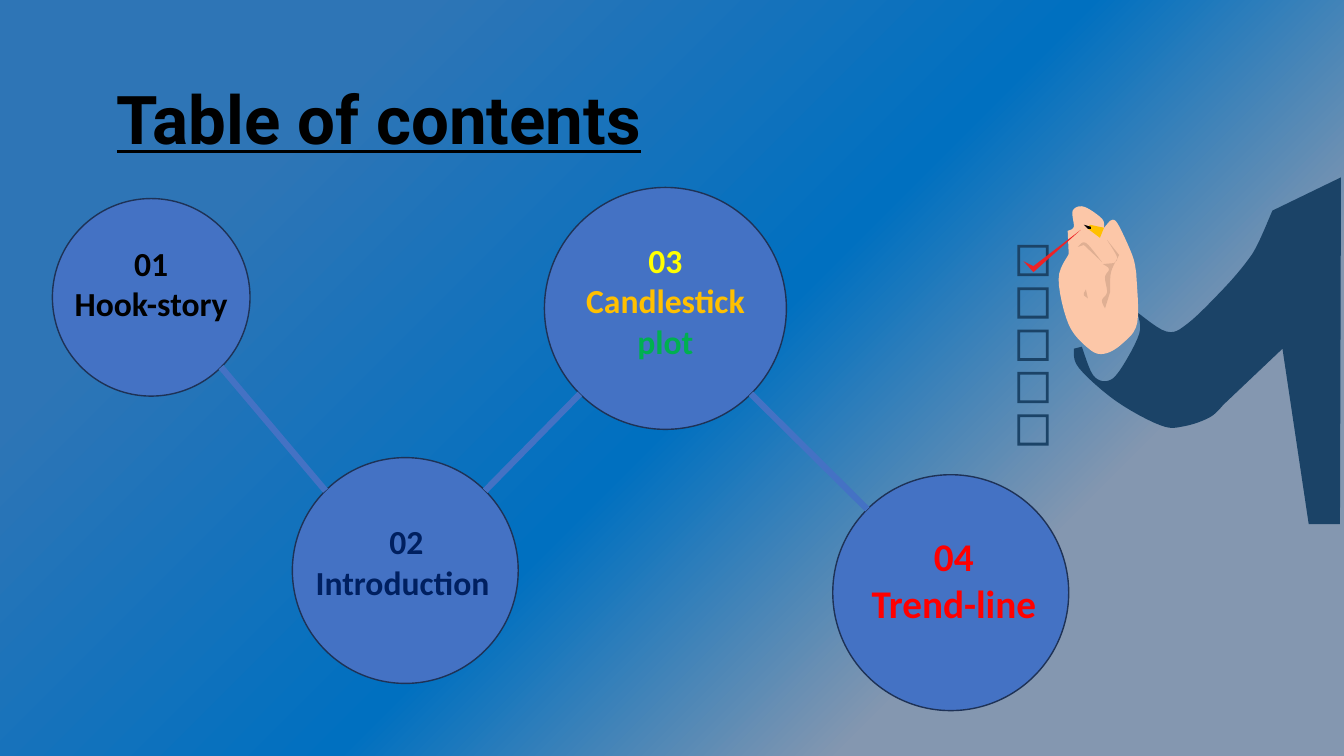
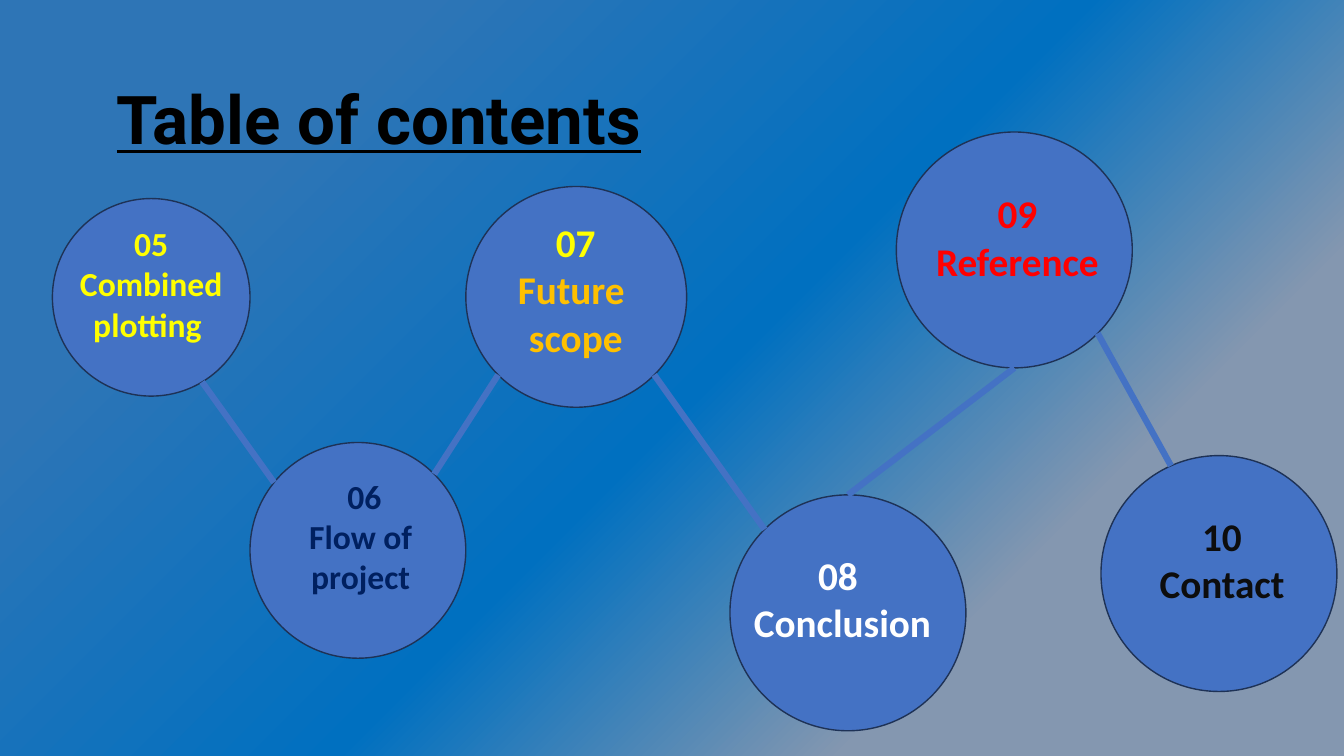
from copy import deepcopy
from itertools import pairwise
from math import cos, radians, sin

from lxml import etree
from pptx import Presentation
from pptx.dml.color import RGBColor
from pptx.enum.shapes import MSO_CONNECTOR, MSO_SHAPE
from pptx.enum.text import MSO_ANCHOR, MSO_AUTO_SIZE, PP_ALIGN
from pptx.oxml.ns import qn
from pptx.util import Inches, Pt

STRAIGHT = MSO_CONNECTOR.STRAIGHT
ELLIPSE, FRAME = MSO_SHAPE.OVAL, MSO_SHAPE.FRAME
TOP, MIDDLE = MSO_ANCHOR.TOP, MSO_ANCHOR.MIDDLE
LEFT, CENTER = PP_ALIGN.LEFT, PP_ALIGN.CENTER
NO_FIT = MSO_AUTO_SIZE.NONE

COLORS = {
    "steel": "2E75B6", "blue": "0070C0", "slate": "8497B0",
    "circle": "4472C4", "outline": "1E3256",
    "black": "000000", "ink": "0D0D0D", "white": "FFFFFF", "navy": "002060",
    "yellow": "FFFF00", "amber": "FFC000", "green": "00B050", "red": "FF0000",
    "sleeve": "1B4367", "skin": "FCC7A8", "crease": "DFAF93",
    "tick": "ED2225", "tip": "030201",
}
COLORS = {name: RGBColor.from_string(value) for name, value in COLORS.items()}
BACKGROUND = [(0.20, "steel"), (0.52, "blue"), (0.76, "slate")]

TITLE = "Table of contents"
TITLE_FRAME = (1.06, 0.81, 11.22, 1.04)
LABEL_HEIGHT = 1.04

# Angles run clockwise from the right-hand side of a circle.
LOWER_RIGHT, BOTTOM, LOWER_LEFT, UPPER_LEFT, TOP_POINT, UPPER_RIGHT = 45, 90, 135, 225, 270, 315

# Each topic: circle (left, top, diameter), label (left, top, width), text size, lines.
# Each link: the angle where it leaves one circle and the angle where it meets the next.
PAGES = [
    {
        "topics": [
            ((0.52, 1.97, 1.96), (0.56, 2.29, 1.88), 24, [("01", "black"), ("Hook-story", "black")]),
            ((2.9, 4.54, 2.24), (2.93, 5.05, 2.2), 24, [("02", "navy"), ("Introduction ", "navy")]),
            ((5.4, 1.86, 2.4), (5.66, 2.46, 1.88), 24,
             [("03", "yellow"), ("Candlestick", "amber"), ("plot", "green")]),
            ((8.26, 4.71, 2.34), (8.52, 5.23, 1.88), 28, [("04", "red"), ("Trend-line", "red")]),
        ],
        "links": [(LOWER_RIGHT, UPPER_LEFT), (UPPER_RIGHT, LOWER_LEFT), (LOWER_RIGHT, UPPER_LEFT)],
    },
    {
        "topics": [
            ((0.52, 1.97, 1.96), (0.56, 2.29, 1.88), 24,
             [("05", "yellow"), ("Combined", "yellow"), ("plotting ", "yellow")]),
            ((2.48, 4.39, 2.14), (2.38, 4.8, 2.47), 24,
             [("06", "navy"), ("Flow of ", "navy"), ("project ", "navy")]),
            ((4.62, 1.85, 2.19), (4.77, 2.35, 1.88), 28,
             [("07", "yellow"), ("Future ", "amber"), ("scope", "amber")]),
            ((7.24, 4.91, 2.34), (7.34, 5.42, 2.03), 28, [("08 ", "white"), ("Conclusion", "white")]),
            ((8.89, 1.31, 2.34), (9.15, 1.83, 1.88), 28, [("09", "red"), ("Reference ", "red")]),
            ((10.92, 4.52, 2.34), (11.18, 5.03, 1.88), 28, [("10", "ink"), ("Contact", "ink")]),
        ],
        "links": [(59, 219), (UPPER_RIGHT, LOWER_LEFT), (LOWER_RIGHT, UPPER_LEFT),
                  (TOP_POINT, BOTTOM), (LOWER_RIGHT, 246)],
    },
]

CHECKBOX_COUNT, CHECKBOX_SIZE, CHECKBOX_STEP = 5, 0.31, 0.42
CHECKBOX_LEFT, CHECKBOX_TOP = 10.09, 2.43
CURVE_STEPS = 6

# An outline is a chain of strokes: smooth inside a stroke, a sharp corner where two meet.
WRIST, SHOULDER, ARMPIT = (11.28, 3.1), (13.3, 1.76), (12.72, 3.46)
THUMB_BASE, FINGER_GAP, KNUCKLE = (10.6, 2.52), (10.95, 2.26), (11.27, 2.71)
sleeve = [
    [WRIST, (11.57, 3.29), (11.78, 3.21), (12.14, 2.86), (12.37, 2.59), (12.48, 2.41), (12.62, 2.09)],
    [SHOULDER, (13.29, 5.2)],
    [(12.98, 5.2), ARMPIT],
    [(12.14, 4.01), (12, 4.14), (11.74, 4.23), (11.51, 4.22), (11.07, 3.98), (10.7, 3.65), (10.65, 3.46)],
    [(10.73, 3.44), (10.84, 3.72), (10.98, 3.78), (11.11, 3.67), (11.3, 3.31), WRIST],
]
hand = [
    [KNUCKLE, (11.28, 3.2), (11.13, 3.41), (10.95, 3.51), (10.8, 3.46), (10.6, 3.22), (10.5, 2.77), THUMB_BASE],
    [(10.59, 2.29), (10.65, 2.25), (10.64, 2.09), (10.75, 2.05), (10.93, 2.17), FINGER_GAP],
    [(11.01, 2.19), (11.08, 2.21), (11.23, 2.53), KNUCKLE],
]
check_mark = [[(10.15, 2.59), (10.25, 2.64)], [(10.72, 2.28), (10.25, 2.7)]]
pencil = [[FINGER_GAP, (10.91, 2.36)], [(10.79, 2.27), (10.81, 2.23)]]
pencil_tip = [[(10.75, 2.23), (10.82, 2.25)], [(10.82, 2.27), (10.79, 2.27)]]
palm_crease = [
    [(10.96, 3.06), (10.93, 2.98), (10.98, 2.9), (10.96, 2.75), (11, 2.67), (10.94, 2.62)],
    [(11.05, 2.61), (11.08, 2.55), (10.98, 2.38)],
    [(11.1, 2.53), (11.02, 2.7), (11.01, 2.9)],
]
finger_crease = [[(10.69, 2.45), (10.77, 2.41), (10.93, 2.6)], [(10.75, 2.43), (10.69, 2.45)]]
thumb_crease = [[(10.77, 2.87), (10.79, 2.96)], [(10.75, 2.93), (10.75, 2.91)]]
ILLUSTRATION = [
    (sleeve, "sleeve"), (hand, "skin"), (check_mark, "tick"), (pencil, "amber"),
    (palm_crease, "crease"), (finger_crease, "crease"), (thumb_crease, "crease"), (pencil_tip, "tip"),
]


def paint(shape, color):
    shape.shadow.inherit = False
    shape.fill.solid()
    shape.fill.fore_color.rgb = COLORS[color]
    shape.line.fill.background()


def smooth(stroke):
    if len(stroke) == 2:
        return stroke
    padded = [stroke[0], *stroke, stroke[-1]]
    points = [stroke[0]]
    for before, start, end, after in zip(padded, padded[1:], padded[2:], padded[3:]):
        for step in range(1, CURVE_STEPS + 1):
            t = step / CURVE_STEPS
            points.append(tuple(
                b + t / 2 * (c - a + t * (2 * a - 5 * b + 4 * c - d + t * (3 * b - a - 3 * c + d)))
                for a, b, c, d in zip(before, start, end, after)))
    return points


deck = Presentation()
deck.slide_width, deck.slide_height = Inches(13.33), Inches(7.5)

fill = deck.slide_master.background.fill
fill.gradient()
fill.gradient_angle = 315
stop_list = deck.slide_master.element.find(".//" + qn("p:bgPr") + "//" + qn("a:gsLst"))
stop_list.append(deepcopy(stop_list[0]))
for stop, (position, color) in zip(fill.gradient_stops, BACKGROUND):
    stop.position = position
    stop.color.rgb = COLORS[color]

for content in PAGES:
    page = deck.slides.add_slide(deck.slide_layouts[5])
    title = page.shapes.title
    title.left, title.top, title.width, title.height = (Inches(n) for n in TITLE_FRAME)
    title.text_frame.text = TITLE
    title.text_frame.auto_size = NO_FIT
    title.text_frame.vertical_anchor = TOP
    para = title.text_frame.paragraphs[0]
    para.alignment = LEFT
    para.line_spacing = 0.9
    font = para.runs[0].font
    font.name, font.size, font.bold, font.underline = "Roboto", Pt(48), True, True
    font.color.rgb = COLORS["black"]

    for (left, top, diameter), label, size, lines in content["topics"]:
        circle = page.shapes.add_shape(ELLIPSE, Inches(left), Inches(top), Inches(diameter), Inches(diameter))
        paint(circle, "circle")
        circle.line.color.rgb = COLORS["outline"]
        circle.line.width = Pt(1)

        box = page.shapes.add_textbox(*(Inches(n) for n in (*label, LABEL_HEIGHT)))
        frame = box.text_frame
        frame.text = "\n".join(text for text, color in lines)
        frame.word_wrap = True
        frame.vertical_anchor = MIDDLE
        for para, (text, color) in zip(frame.paragraphs, lines):
            para.alignment = CENTER
            font = para.runs[0].font
            font.name, font.size, font.bold = "Calibri", Pt(size), True
            font.color.rgb = COLORS[color]

    circles = [topic[0] for topic in content["topics"]]
    for neighbours, angles in zip(pairwise(circles), content["links"]):
        ends = []
        for (left, top, diameter), angle in zip(neighbours, angles):
            radius = diameter / 2
            ends.append(Inches(left + radius + radius * cos(radians(angle))))
            ends.append(Inches(top + radius + radius * sin(radians(angle))))
        link = page.shapes.add_connector(STRAIGHT, *ends)
        link.line.color.rgb = COLORS["circle"]
        link.line.width = Pt(4.5)
        etree.SubElement(link.element.spPr, qn("a:effectLst"))

drawing = deck.slides[0].shapes.add_group_shape()
for row in range(CHECKBOX_COUNT):
    checkbox = drawing.shapes.add_shape(
        FRAME, Inches(CHECKBOX_LEFT), Inches(CHECKBOX_TOP + CHECKBOX_STEP * row),
        Inches(CHECKBOX_SIZE), Inches(CHECKBOX_SIZE))
    checkbox.adjustments[0] = 0.09
    paint(checkbox, "sleeve")
for strokes, color in ILLUSTRATION:
    outline = [(Inches(x), Inches(y)) for stroke in strokes for x, y in smooth(stroke)]
    builder = drawing.shapes.build_freeform(*outline[0])
    builder.add_line_segments(outline[1:], close=True)
    paint(builder.convert_to_shape(), color)

deck.save("out.pptx")
